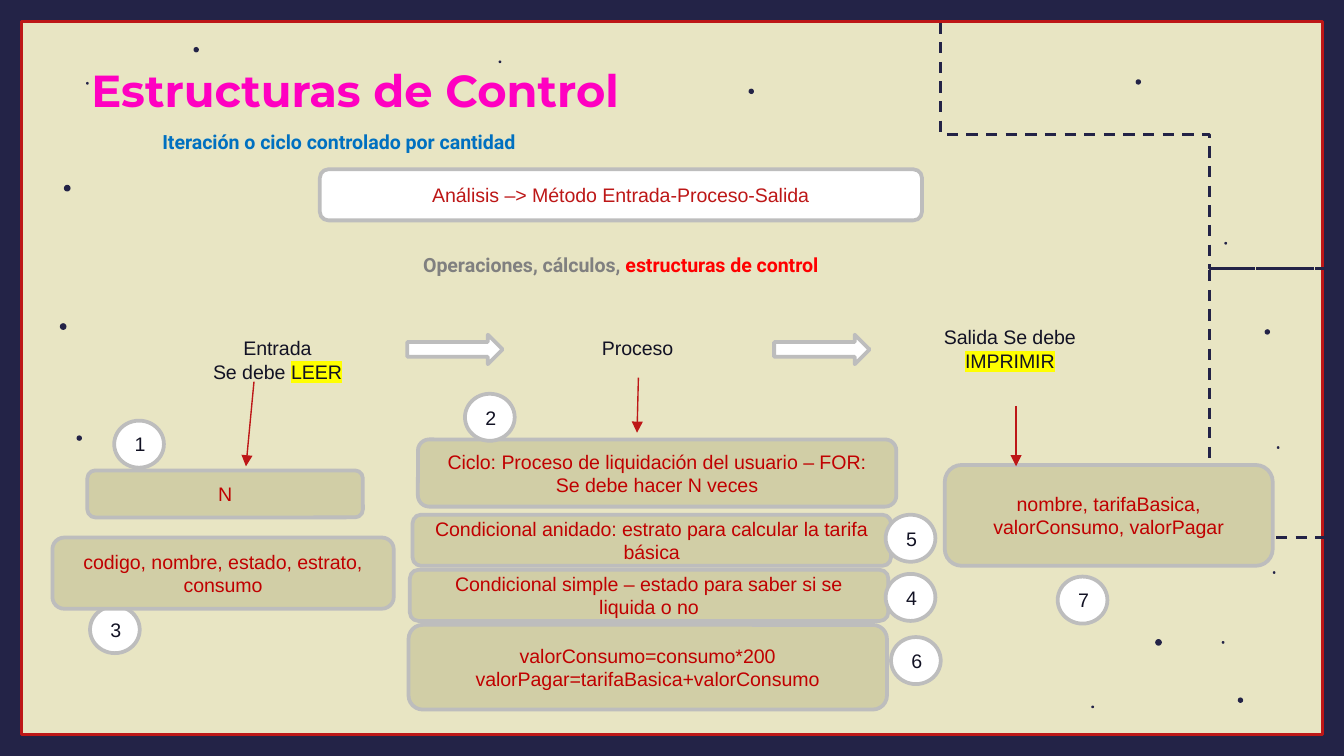
from lxml import etree
from pptx import Presentation
from pptx.dml.color import RGBColor
from pptx.enum.dml import MSO_LINE
from pptx.enum.shapes import MSO_CONNECTOR, MSO_SHAPE
from pptx.enum.text import MSO_ANCHOR, PP_ALIGN
from pptx.oxml.ns import qn
from pptx.util import Inches, Pt

RECTANGLE = MSO_SHAPE.RECTANGLE
ROUNDED = MSO_SHAPE.ROUNDED_RECTANGLE
ELLIPSE = MSO_SHAPE.OVAL
RIGHT_ARROW = MSO_SHAPE.RIGHT_ARROW
STRAIGHT = MSO_CONNECTOR.STRAIGHT
DASH = MSO_LINE.DASH
MIDDLE, TOP = MSO_ANCHOR.MIDDLE, MSO_ANCHOR.TOP
CENTER, LEFT, JUSTIFY = PP_ALIGN.CENTER, PP_ALIGN.LEFT, PP_ALIGN.JUSTIFY

WIDTH, HEIGHT, BORDER = 10, 10 * 9 / 16, 0.16
NAVY, CREAM, KHAKI, WHITE = "232347", "E8E5C3", "D1CEA6", "FFFFFF"
GRAY, RED, DARK_RED, INK, YELLOW = "BDBDBD", "BD1717", "C00000", "121224", "FFFF00"


def color(hex_text):
    return RGBColor.from_string(hex_text)


def bezier_points(start, curves, steps=24):
    """Points along a chain of cubic curves, each (control, control, end)."""
    points = [start]
    for first, second, end in curves:
        for step in range(1, steps + 1):
            t = step / steps
            weights = ((1 - t) ** 3, 3 * t * (1 - t) ** 2, 3 * t * t * (1 - t), t ** 3)
            corners = (start, first, second, end)
            points.append(tuple(
                sum(weight * corner[axis] for weight, corner in zip(weights, corners))
                for axis in (0, 1)))
        start = end
    return points


class SlideBuilder:
    """Holds the style and the current slide."""
    font, size, outline = "Arial", 10.5, 2

    def __init__(self, slide):
        self.slide = slide
        self.shapes = slide.shapes

    def set_text(self, shape, lines, ink, font=None, size=None, bold=False,
                 align=CENTER, anchor=MIDDLE):
        """Each line is a list of (text, options); options: color, highlight."""
        frame = shape.text_frame
        frame.word_wrap = True
        frame.vertical_anchor = anchor
        for index, line in enumerate(lines):
            paragraph = frame.paragraphs[0] if index == 0 else frame.add_paragraph()
            paragraph.alignment = align
            for text, options in line:
                run = paragraph.add_run()
                run.text = text
                run.font.size = Pt(size or self.size)
                run.font.bold = bold
                run.font.color.rgb = color(options.get("color", ink))
                if "highlight" in options:
                    self.highlight(run, options["highlight"])
                run.font.name = font or self.font

    def highlight(self, run, fill):
        mark = etree.Element(qn("a:highlight"))
        etree.SubElement(mark, qn("a:srgbClr"), val=fill)
        run._r.get_or_add_rPr().find(qn("a:solidFill")).addnext(mark)

    def title(self, box, text, ink):
        title = self.shapes.title
        title.left, title.top, title.width, title.height = map(Inches, box)
        self.set_text(title, [[(text, {})]], ink, "Montserrat", 24, True, LEFT, TOP)

    def label(self, box, line, ink):
        text_box = self.shapes.add_textbox(*map(Inches, box))
        self.set_text(text_box, [line], ink, "Roboto", bold=True, align=JUSTIFY, anchor=TOP)

    def shape(self, kind, box, fill=None, line=None, width=None, lines=(), ink=INK):
        shape = self.shapes.add_shape(kind, *map(Inches, box))
        shape.shadow.inherit = False
        if fill:
            shape.fill.solid()
            shape.fill.fore_color.rgb = color(fill)
        else:
            shape.fill.background()
        if line:
            shape.line.color.rgb = color(line)
            shape.line.width = Pt(width or self.outline)
        else:
            shape.line.fill.background()
        if lines:
            self.set_text(shape, lines, ink)

    def dot(self, x, y, diameter):
        radius = diameter / 2
        self.shape(ELLIPSE, (x - radius, y - radius, diameter, diameter), NAVY)

    def badge(self, number, left, top):
        self.shape(ELLIPSE, (left, top, 0.37, 0.35), WHITE, GRAY,
                   lines=[[(str(number), {})]])

    def card(self, box, *texts, fill=KHAKI, ink=DARK_RED):
        self.shape(ROUNDED, box, fill, GRAY,
                   lines=[[(text, {})] for text in texts], ink=ink)

    def dashed_curve(self, points):
        builder = self.shapes.build_freeform(*points[0], scale=Inches(1))
        builder.add_line_segments(points[1:], close=False)
        shape = builder.convert_to_shape()
        shape.shadow.inherit = False
        shape.fill.background()
        shape.line.color.rgb = color(NAVY)
        shape.line.width = Pt(1.5)
        shape.line.dash_style = DASH

    def arrow(self, start, end):
        connector = self.shapes.add_connector(STRAIGHT, *map(Inches, start + end))
        connector.line.color.rgb = color(RED)
        connector.line.width = Pt(0.75)
        properties = connector._element.spPr
        etree.SubElement(properties.find(qn("a:ln")), qn("a:tailEnd"), type="triangle")
        etree.SubElement(properties, qn("a:effectLst"))


def main():
    presentation = Presentation()
    presentation.slide_width = Inches(WIDTH)
    presentation.slide_height = Inches(HEIGHT)
    slide = presentation.slides.add_slide(presentation.slide_layouts[5])
    slide.background.fill.solid()
    slide.background.fill.fore_color.rgb = color(CREAM)
    builder = SlideBuilder(slide)

    # Frame and scattered decoration
    for bar in [(0, 0, WIDTH, BORDER), (0, HEIGHT - BORDER, WIDTH, BORDER),
                (0, 0, BORDER, HEIGHT), (WIDTH - BORDER, 0, BORDER, HEIGHT)]:
        builder.shape(RECTANGLE, bar, NAVY)
    builder.shape(RECTANGLE, (BORDER, BORDER, WIDTH - 2 * BORDER, HEIGHT - 2 * BORDER),
                  line=RED, width=1.5)
    builder.dashed_curve(bezier_points((6.41, 0.22), [
        ((6.51, 0.37), (6.72, 1.08), (6.99, 1.13)),
        ((7.25, 1.19), (7.75, 0.55), (8.01, 0.57)),
        ((8.28, 0.58), (8.34, 1.05), (8.59, 1.22)),
        ((8.84, 1.39), (9.41, 1.22), (9.5, 1.6)),
        ((9.58, 1.99), (9.03, 3.09), (9.08, 3.52)),
        ((9.13, 3.95), (9.68, 4.07), (9.8, 4.18))]))
    dots_by_diameter = {
        0.05: [(8.62, 4.78), (0.5, 1.4), (0.47, 2.43)],
        0.04: [(5.59, 0.68), (9.23, 5.21), (9.43, 2.47), (0.59, 3.26),
               (8.47, 0.61), (1.46, 0.37)],
        0.02: [(9.48, 4.26), (8.13, 5.26), (9.1, 4.78), (9.12, 1.81),
               (3.72, 0.46), (9.51, 3.33), (0.65, 0.62)],
    }
    for diameter, centers in dots_by_diameter.items():
        for x, y in centers:
            builder.dot(x, y, diameter)

    # Headings
    builder.title((0.58, 0.42, 5.09, 0.5), "Estructuras de Control", "FF00C1")
    builder.label((1.11, 0.92, 4.27, 0.28),
                  [("Iteración o ciclo controlado por cantidad", {})], "0070C0")
    builder.label((3.05, 1.83, 6.74, 0.28),
                  [("Operaciones, cálculos, ", {}),
                   ("estructuras de control", {"color": "FF0000"})], "808080")
    builder.card((2.38, 1.26, 4.48, 0.38), "Análisis –> Método Entrada-Proceso-Salida",
                 fill=WHITE, ink=RED)

    # Input, process and output stages
    marked = {"highlight": YELLOW}
    stages = [
        (1.08, 2.19, [[("Entrada", {})], [("Se debe ", {}), ("LEER", marked)]]),
        (3.76, 2.1, [[("Proceso", {})]]),
        (6.53, 2.11, [[("Salida Se debe ", {}), ("IMPRIMIR", marked)]]),
    ]
    for left, top, lines in stages:
        builder.shape(ELLIPSE, (left, top, 1.97, 0.97), CREAM, CREAM, lines=lines)
    for left in (3.03, 5.76):
        builder.shape(RIGHT_ARROW, (left, 2.49, 0.71, 0.22), WHITE, GRAY)

    # Step details; badges 3 and 6 sit behind their cards
    builder.badge(3, 0.67, 4.51)
    builder.badge(6, 6.63, 4.74)
    builder.card((0.65, 3.5, 2.05, 0.35), "N")
    builder.card((0.39, 4, 2.54, 0.53), "codigo, nombre, estado, estrato, consumo")
    builder.card((3.11, 3.27, 3.56, 0.5),
                 "Ciclo: Proceso de liquidación del usuario – FOR: Se debe hacer N veces")
    builder.card((3.07, 3.83, 3.56, 0.38),
                 "Condicional anidado: estrato para calcular la tarifa básica")
    builder.card((3.05, 4.24, 3.56, 0.38),
                 "Condicional simple – estado para saber si se liquida o no")
    builder.card((3.04, 4.65, 3.56, 0.63),
                 "valorConsumo=consumo*200", "valorPagar=tarifaBasica+valorConsumo")
    builder.card((7.03, 3.46, 2.44, 0.75), "nombre, tarifaBasica, valorConsumo, valorPagar")
    for number, left, top in [(1, 0.85, 3.13), (2, 3.46, 2.93), (4, 6.59, 4.27),
                              (5, 6.59, 3.83), (7, 7.87, 4.29)]:
        builder.badge(number, left, top)
    for start, end in [((1.89, 2.84), (1.83, 3.47)), ((4.75, 2.81), (4.74, 3.22)),
                       ((7.56, 3.02), (7.56, 3.47))]:
        builder.arrow(start, end)

    presentation.save("out.pptx")


if __name__ == "__main__":
    main()
